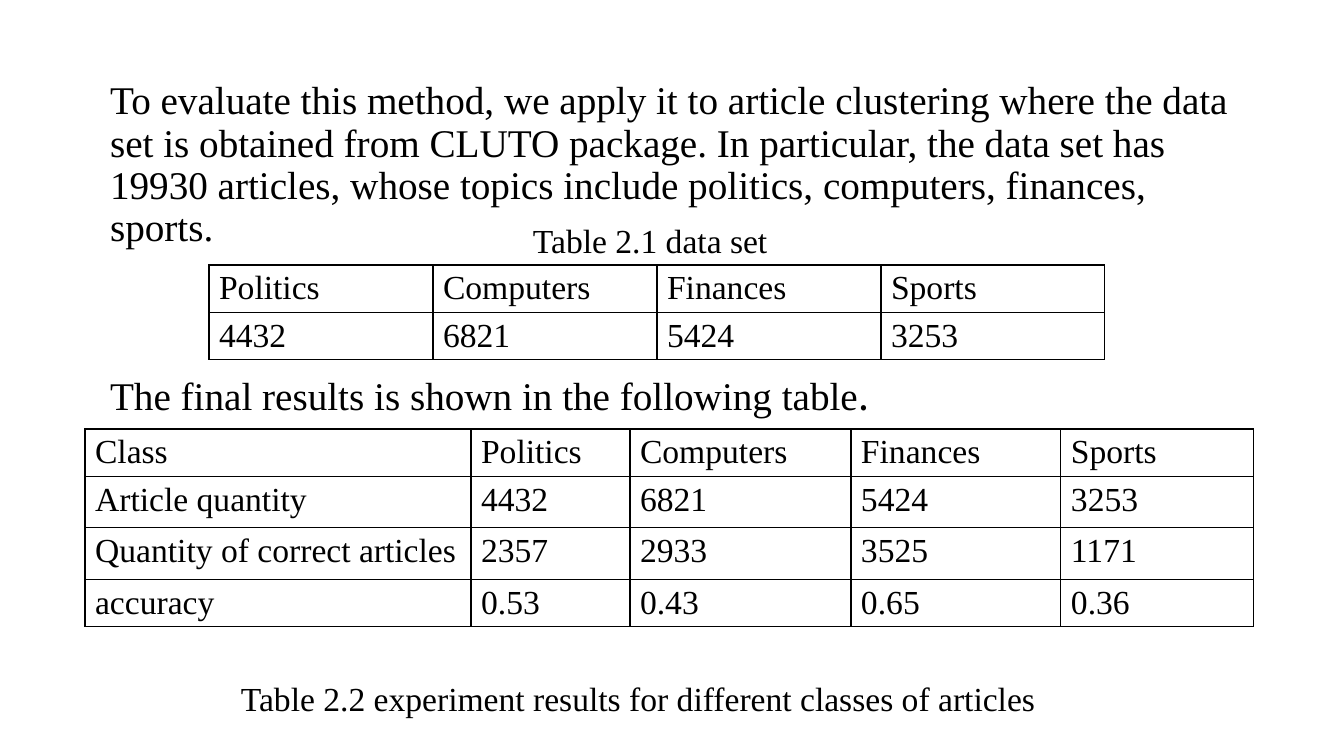
"""Build a slide with a data set table and a table of clustering results."""
from lxml import etree
from pptx import Presentation
from pptx import util as u
from pptx.dml.color import RGBColor
from pptx.enum import text
from pptx.oxml.ns import qn

PX = u.Inches(1) / 100.8
SERIF = "Times New Roman"
BLACK = "000000"
TOPICS = ["Politics", "Computers", "Finances", "Sports"]
COUNTS = ["4432", "6821", "5424", "3253"]
RESULTS = [
    ["Class", *TOPICS],
    ["Article quantity", *COUNTS],
    ["Quantity of correct articles", "2357", "2933", "3525", "1171"],
    ["accuracy", "0.53", "0.43", "0.65", "0.36"],
]
INTRO = (
    "To evaluate this method, we apply it to article clustering where the data set "
    "is obtained from CLUTO package. In particular, the data set has 19930 articles, "
    "whose topics include politics, computers, finances, sports."
)


def px(n):
    """Turn pixels into EMU."""
    return u.Emu(round(n * PX))


def rgb(color):
    """Turn a hex string into a colour."""
    return RGBColor.from_string(color)


def add_run(p, words, size=24, font=SERIF, color=BLACK):
    """Add a formatted run to a paragraph."""
    r = p.add_run()
    r.text = words
    r.font.size = u.Pt(size)
    r.font.name = font
    r.font.color.rgb = rgb(color)


def add_caption(s, words, left, top, width):
    """Add a one-line table caption."""
    tf = s.shapes.add_textbox(px(left), px(top), px(width), px(50)).text_frame
    tf.word_wrap = True
    add_run(tf.paragraphs[0], words)


def format_body_paragraph(p, before):
    """Remove the bullet and indent and set the paragraph's spacing."""
    p.line_spacing = 0.9
    p.space_before = u.Pt(before)
    pPr = p._p.get_or_add_pPr()
    pPr.set("marL", "0")
    pPr.set("indent", "0")
    etree.SubElement(pPr, qn("a:buNone"))


def fill_body(sp):
    """Place the body placeholder and write its two paragraphs."""
    sp.left, sp.top, sp.width, sp.height = map(px, (100, 76, 1159, 480))
    tf = sp.text_frame
    tf.auto_size = text.MSO_AUTO_SIZE.NONE
    p = tf.paragraphs[0]
    format_body_paragraph(p, 0)
    add_run(p, INTRO, size=28)
    p = tf.add_paragraph()
    format_body_paragraph(p, 90)
    add_run(p, "The final results is shown in the following table", size=28)
    add_run(p, ".", size=28, font="Noto Sans CJK SC")


def add_borders(cell, color=BLACK):
    """Draw a one-point line on all four sides of a cell."""
    tcPr = cell._tc.get_or_add_tcPr()
    for i, side in enumerate(("lnL", "lnR", "lnT", "lnB")):
        ln = etree.Element(qn(f"a:{side}"), w=str(u.Pt(1)))
        fill = etree.SubElement(ln, qn("a:solidFill"))
        etree.SubElement(fill, qn("a:srgbClr"), val=color)
        tcPr.insert(i, ln)


def add_grid(s, rows, left, top, widths, heights):
    """Add a plain table with black cell borders."""
    size = px(sum(widths)), px(sum(heights))
    table = s.shapes.add_table(len(rows), len(widths), px(left), px(top), *size).table
    table.first_row = table.horz_banding = False
    for column, width in zip(table.columns, widths):
        column.width = px(width)
    for row, height, values in zip(table.rows, heights, rows):
        row.height = px(height)
        for cell, value in zip(row.cells, values):
            cell.fill.background()
            add_borders(cell)
            add_run(cell.text_frame.paragraphs[0], value)


def main():
    """Build and save the slide."""
    prs = Presentation()
    prs.slide_width, prs.slide_height = px(1344), px(756)
    s = prs.slides.add_slide(prs.slide_layouts[1])
    title = s.shapes.title._element
    title.getparent().remove(title)
    fill_body(s.placeholders[1])
    add_grid(s, [TOPICS, COUNTS], 209, 265, [224] * 4, [47] * 2)
    add_grid(s, RESULTS, 85, 429, [386, 159, 221, 210, 193], [47, 51, 52, 47])
    add_caption(s, "Table 2.2 experiment results for different classes of articles", 231, 673, 893)
    add_caption(s, "Table 2.1 data set", 523, 215, 345)
    prs.save("out.pptx")


if __name__ == "__main__":
    main()
